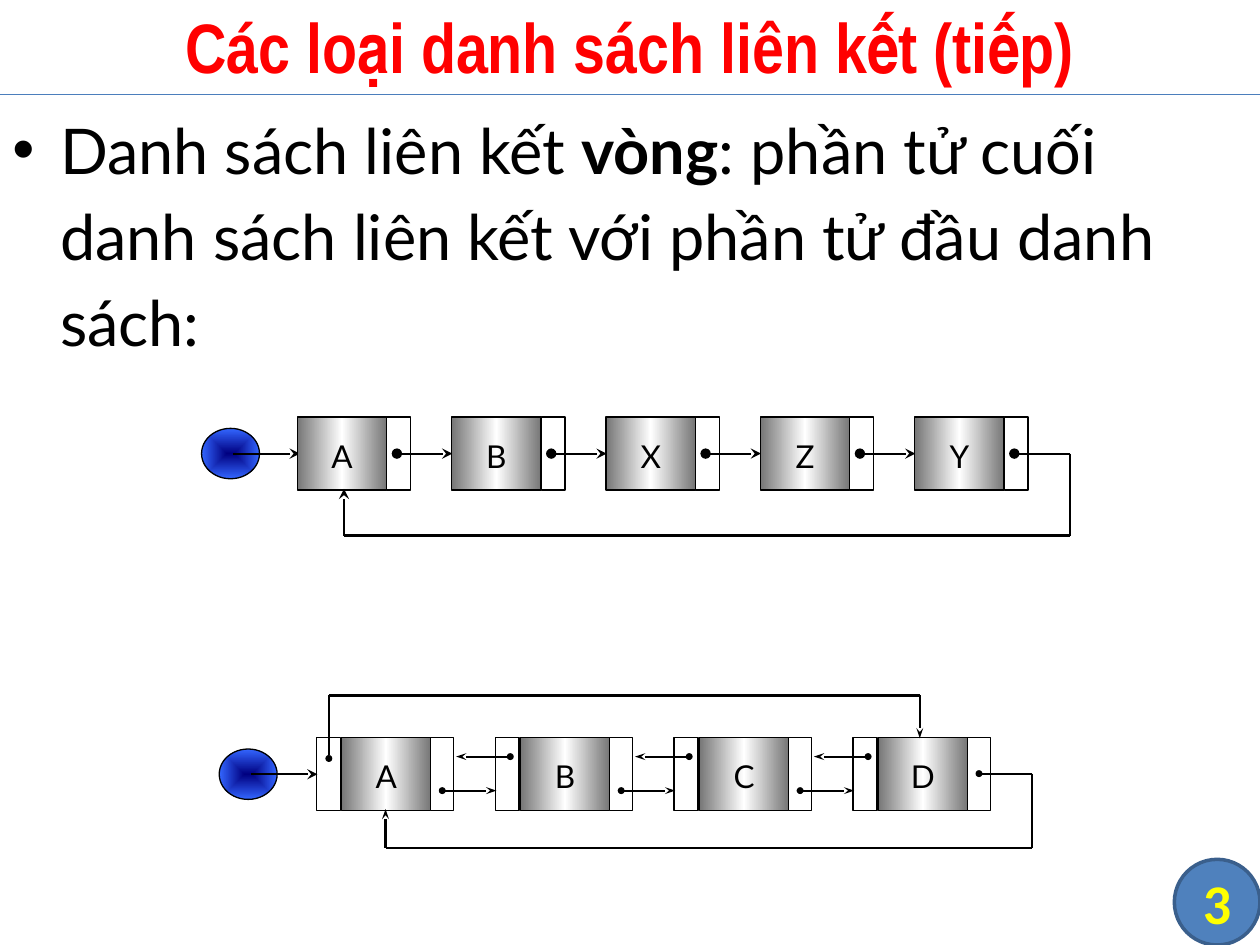
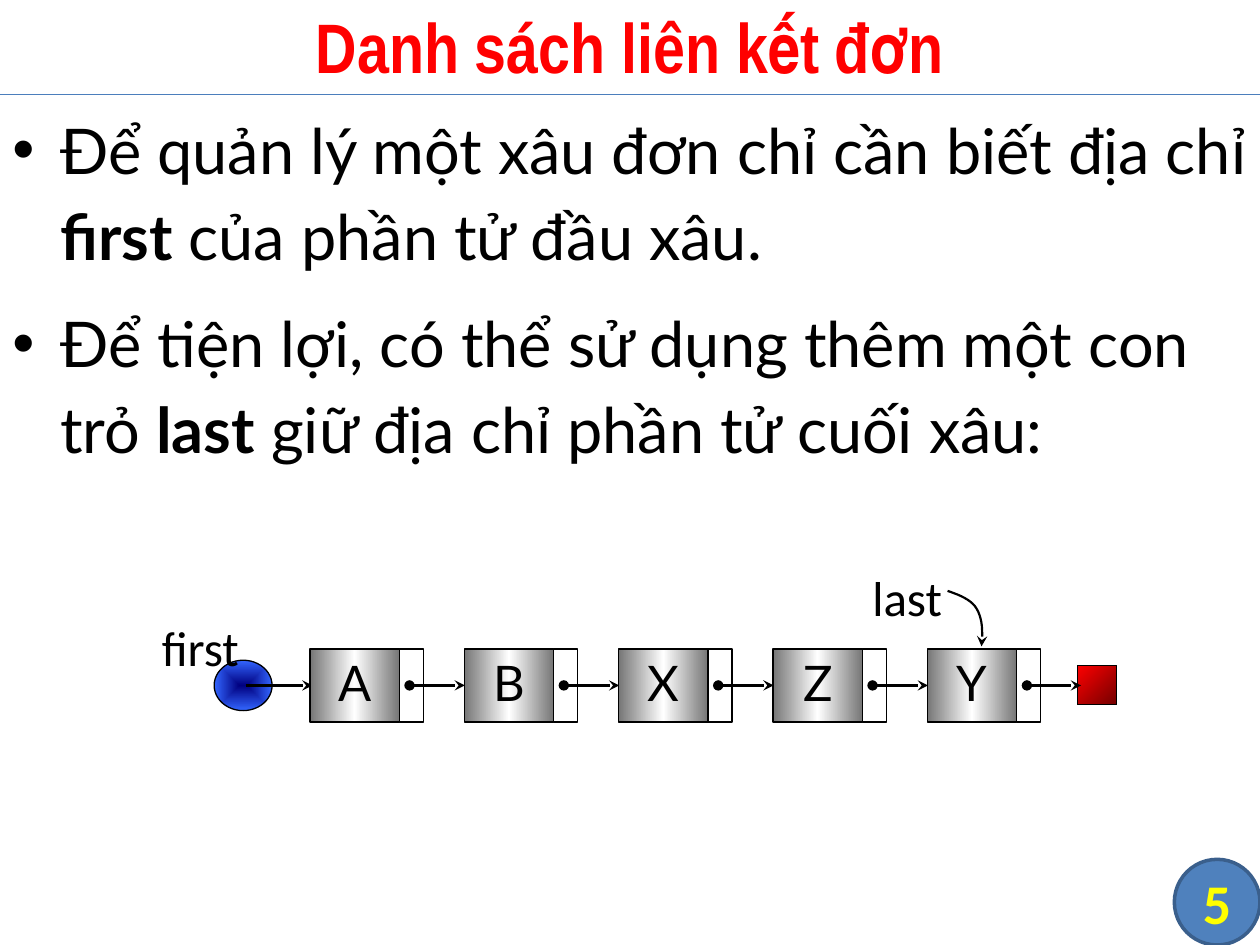
from dataclasses import dataclass

from lxml import etree
from pptx import Presentation
from pptx.dml.color import RGBColor
from pptx.enum.shapes import MSO_CONNECTOR, MSO_SHAPE
from pptx.enum.text import MSO_ANCHOR, PP_ALIGN
from pptx.oxml.ns import qn
from pptx.util import Inches, Pt

RECT, OVAL, BADGE = MSO_SHAPE.RECTANGLE, MSO_SHAPE.OVAL, MSO_SHAPE.FLOWCHART_CONNECTOR
STRAIGHT = MSO_CONNECTOR.STRAIGHT
TOP, MIDDLE = MSO_ANCHOR.TOP, MSO_ANCHOR.MIDDLE
CENTER = PP_ALIGN.CENTER
TITLE_ONLY = 5


@dataclass(frozen=True)
class Theme:
    title_font: str = "Arial Narrow"
    body_font: str = "Lato"
    label_font: str = "Calibri"
    title_size: int = 40
    body_size: int = 36
    badge_size: int = 32
    label_size: int = 28
    small_size: int = 18
    title: str = "FF0000"
    ink: str = "000000"
    paper: str = "FFFFFF"
    rule: str = "4B7EBC"
    badge: str = "4F81BD"
    badge_edge: str = "3A5F8C"
    badge_text: str = "FFFF00"
    steel: tuple = ((0, "767676"), (50, "FFFFFF"), (100, "767676"))
    blue: tuple = ((0, "000080"), (100, "3366FF"))
    red: tuple = ((0, "FF0000"), (100, "760000"))
    outline: float = 0.75
    arrow: float = 1.25


THEME = Theme()

# Geometry of a list node, in inches
NODE_W, NODE_H, CELL_W = 0.71, 0.58, 0.19
SINGLE_PITCH, DOUBLE_PITCH = 1.225, 1.42
LINK = 0.43


# --- Basic elements ---

def set_font(font, name, size, color, bold=False):
    font.name, font.size, font.bold = name, Pt(size), bold
    font.color.rgb = RGBColor.from_string(color)


def set_line(line, color, width):
    line.color.rgb = RGBColor.from_string(color)
    line.width = Pt(width)


def set_gradient(shape, stops, angle=None):
    """Linear gradient at an angle, or one that spreads from the centre."""
    shape.fill.background()
    empty = shape._element.spPr.find(qn("a:noFill"))
    gradient = etree.Element(qn("a:gradFill"), rotWithShape="1")
    stop_list = etree.SubElement(gradient, qn("a:gsLst"))
    for position, color in stops:
        stop = etree.SubElement(stop_list, qn("a:gs"), pos=str(position * 1000))
        etree.SubElement(stop, qn("a:srgbClr"), val=color)
    if angle is None:
        spread = etree.SubElement(gradient, qn("a:path"), path="shape")
        sides = dict.fromkeys("ltrb", "50000")
        etree.SubElement(spread, qn("a:fillToRect"), **sides)
    else:
        etree.SubElement(gradient, qn("a:lin"), ang=str(angle * 60000), scaled="0")
    empty.getparent().replace(empty, gradient)


def add_box(page, kind, left, top, width, height, fill=None,
            edge=THEME.ink, edge_width=THEME.outline):
    box = page.shapes.add_shape(
        kind, Inches(left), Inches(top), Inches(width), Inches(height))
    box.shadow.inherit = False
    set_line(box.line, edge, edge_width)
    if fill:
        box.fill.solid()
        box.fill.fore_color.rgb = RGBColor.from_string(fill)
    else:
        box.fill.background()
    return box


def write_centered(box, text, font, size, color, bold=False,
                   anchor=MIDDLE, inset_top=0.0):
    frame = box.text_frame
    frame.margin_left = frame.margin_right = frame.margin_bottom = 0
    frame.margin_top = Inches(inset_top)
    frame.vertical_anchor = anchor
    frame.word_wrap = True
    para = frame.paragraphs[0]
    para.text, para.alignment = text, CENTER
    set_font(para.font, font, size, color, bold)


def set_ends(line, head=None, tail=None, size="med"):
    ln = line.get_or_add_ln() if hasattr(line, "get_or_add_ln") else line._get_or_add_ln()
    for tag, kind in (("a:headEnd", head), ("a:tailEnd", tail)):
        if kind:
            length = size if kind == "oval" else "med"
            etree.SubElement(ln, qn(tag), type=kind, w=size, len=length)


def add_line(page, start, end, head=None, tail=None, size="med",
             color=THEME.ink, width=THEME.arrow):
    line = page.shapes.add_connector(
        STRAIGHT, *(Inches(value) for value in (*start, *end)))
    set_line(line.line, color, width)
    set_ends(line.line, head, tail, size)
    etree.SubElement(line._element.spPr, qn("a:effectLst"))


def add_route(page, points, head=None, tail=None, size="med"):
    """Chain of straight lines with ends only at its first and last point."""
    last = len(points) - 2
    for index, (start, end) in enumerate(zip(points, points[1:])):
        add_line(page, start, end, head if index == 0 else None,
                 tail if index == last else None, size)


def add_label(page, text, left, top):
    box = page.shapes.add_textbox(
        Inches(left), Inches(top), Inches(0.9), Inches(0.42))
    write_centered(box, text, THEME.label_font, THEME.label_size, THEME.ink, anchor=TOP)


def bezier(points, t):
    weights = ((1 - t) ** 3, 3 * t * (1 - t) ** 2, 3 * t * t * (1 - t), t ** 3)
    return tuple(Inches(sum(w * point[axis] for w, point in zip(weights, points)))
                 for axis in (0, 1))


def add_curved_arrow(page, curves, steps=10):
    points = [bezier(curve, step / steps)
              for curve in curves for step in range(1, steps + 1)]
    builder = page.shapes.build_freeform(*bezier(curves[0], 0))
    builder.add_line_segments(points, close=False)
    arrow = builder.convert_to_shape()
    arrow.shadow.inherit = False
    arrow.fill.background()
    set_line(arrow.line, THEME.ink, THEME.arrow)
    set_ends(arrow.line, tail="stealth")


# --- Parts of a page ---

def add_page(deck, title, number, bullets):
    page = deck.slides.add_slide(deck.slide_layouts[TITLE_ONLY])
    # Badge and rule
    badge = add_box(page, BADGE, 9.32, 6.82, 0.68, 0.68,
                    THEME.badge, THEME.badge_edge, 2)
    write_centered(badge, str(number), THEME.label_font, THEME.badge_size,
                   THEME.badge_text, bold=True)
    add_line(page, (0, 0.75), (10, 0.75), color=THEME.rule, width=THEME.outline)
    # Title
    heading = page.shapes.title
    heading.left, heading.top = 0, Inches(-0.03)
    heading.width, heading.height = Inches(10), Inches(0.78)
    heading.text_frame.vertical_anchor = MIDDLE
    para = heading.text_frame.paragraphs[0]
    para.text, para.alignment = title, CENTER
    set_font(para.font, THEME.title_font, THEME.title_size, THEME.title, bold=True)
    add_bullets(page, bullets)
    return page


def add_bullets(page, bullets):
    """Each bullet is (text before, bold word, text after)."""
    frame = page.shapes.add_textbox(0, Inches(0.75), Inches(10), Inches(6.75)).text_frame
    frame.word_wrap = True
    for index, parts in enumerate(bullets):
        para = frame.add_paragraph() if index else frame.paragraphs[0]
        para.line_spacing = 1.14
        para.space_before = para.space_after = Pt(6)
        set_font(para.font, THEME.body_font, THEME.body_size, THEME.ink)
        props = para._p.get_or_add_pPr()
        props.set("marL", str(Inches(0.38)))
        props.set("indent", str(Inches(-0.38)))
        bullet_font = etree.Element(qn("a:buFont"), typeface="Arial")
        bullet = etree.Element(qn("a:buChar"), char="•")
        defaults = props.find(qn("a:defRPr"))
        defaults.addprevious(bullet_font)
        defaults.addprevious(bullet)
        for position, text in enumerate(parts):
            span = para.add_run()
            span.text = text
            # Run fonts differ in weight within a bullet
            set_font(span.font, THEME.body_font, THEME.body_size, THEME.ink,
                     bold=position == 1)


def add_start(page, left, middle):
    """Start pointer: blue dot with an arrow."""
    dot = add_box(page, OVAL, left, middle - 0.2, 0.46, 0.4)
    set_gradient(dot, THEME.blue)
    add_line(page, (left + 0.25, middle), (left + 0.78, middle), tail="stealth")


def add_node(page, letter, left, top, size, anchor=MIDDLE):
    node = add_box(page, RECT, left, top, NODE_W, NODE_H)
    set_gradient(node, THEME.steel, angle=0)
    write_centered(node, letter, THEME.body_font, size, THEME.ink,
                   anchor=anchor, inset_top=0.03)


def add_single_list(page, letters, left, top, size, anchor=MIDDLE):
    """Nodes with one link each; returns the start of the last link."""
    middle = top + NODE_H / 2
    add_start(page, left - 0.76, middle)
    for index, letter in enumerate(letters):
        x = left + index * SINGLE_PITCH
        add_box(page, RECT, x + 0.71, top, CELL_W, NODE_H, THEME.paper)
        add_node(page, letter, x, top, size, anchor)
        link_start = x + 0.79
        if index < len(letters) - 1:
            add_line(page, (link_start, middle), (link_start + LINK + 0.01, middle),
                     "oval", "stealth")
    return link_start, middle


def add_double_list(page, letters, left, top, size):
    """Nodes with a link forward and a link back."""
    add_start(page, left - 0.97, top + NODE_H / 2)
    for index, letter in enumerate(letters):
        x = left + index * DOUBLE_PITCH
        for cell_left in (x - 0.2, x + 0.7):
            add_box(page, RECT, cell_left, top, CELL_W, NODE_H)
        add_node(page, letter, x, top, size)
        if index < len(letters) - 1:
            add_line(page, (x + 0.8, top + 0.42), (x + 0.8 + LINK, top + 0.42),
                     "oval", "stealth", "sm")
        if index:
            add_line(page, (x - 0.08, top + 0.15), (x - 0.08 - LINK, top + 0.15),
                     "oval", "stealth", "sm")


def add_circular_page(deck):
    page = add_page(deck, "Các loại danh sách liên kết (tiếp)", 3, [
        ("Danh sách liên kết ", "vòng",
         ": phần tử cuối danh sách liên kết với phần tử đầu danh sách:")])
    # Single circular list
    x, y = add_single_list(page, "ABXZY", 2.36, 3.31, THEME.small_size)
    add_route(page, [(x, y), (8.49, y), (8.49, 4.25), (2.73, 4.25), (2.73, 3.88)],
              "oval", "stealth")
    # Double circular list
    add_double_list(page, "ABCD", 2.71, 5.855, THEME.small_size)
    add_route(page, [(7.77, 6.14), (8.19, 6.14), (8.19, 6.73), (3.06, 6.73), (3.06, 6.42)],
              "oval", "stealth", "sm")
    add_route(page, [(2.61, 6.02), (2.61, 5.52), (7.3, 5.52), (7.3, 5.86)],
              "oval", "stealth", "sm")


def add_single_page(deck):
    page = add_page(deck, "Danh sách liên kết đơn", 5, [
        ("Để quản lý một xâu đơn chỉ cần biết địa chỉ ", "first", " của phần tử đầu xâu."),
        ("Để tiện lợi, có thể sử dụng thêm một con trỏ ", "last",
         " giữ địa chỉ phần tử cuối xâu:")])
    # List that ends in a red block
    end_block = add_box(page, RECT, 8.55, 5.28, 0.31, 0.31)
    set_gradient(end_block, THEME.red, angle=45)
    x, y = add_single_list(page, "ABXZY", 2.46, 5.15, THEME.label_size, TOP)
    add_line(page, (x, y), (x + LINK, y), "oval", "stealth")
    # Pointer names
    add_label(page, "first", 1.14, 4.9)
    add_label(page, "last", 6.75, 4.5)
    add_curved_arrow(page, [
        [(7.52, 4.69), (7.61, 4.72), (7.71, 4.76), (7.75, 4.83)],
        [(7.75, 4.83), (7.8, 4.91), (7.8, 5.02), (7.79, 5.13)]])


def main():
    deck = Presentation()
    deck.slide_width, deck.slide_height = Inches(10), Inches(7.5)
    add_circular_page(deck)
    add_single_page(deck)
    deck.save("out.pptx")


if __name__ == "__main__":
    main()
